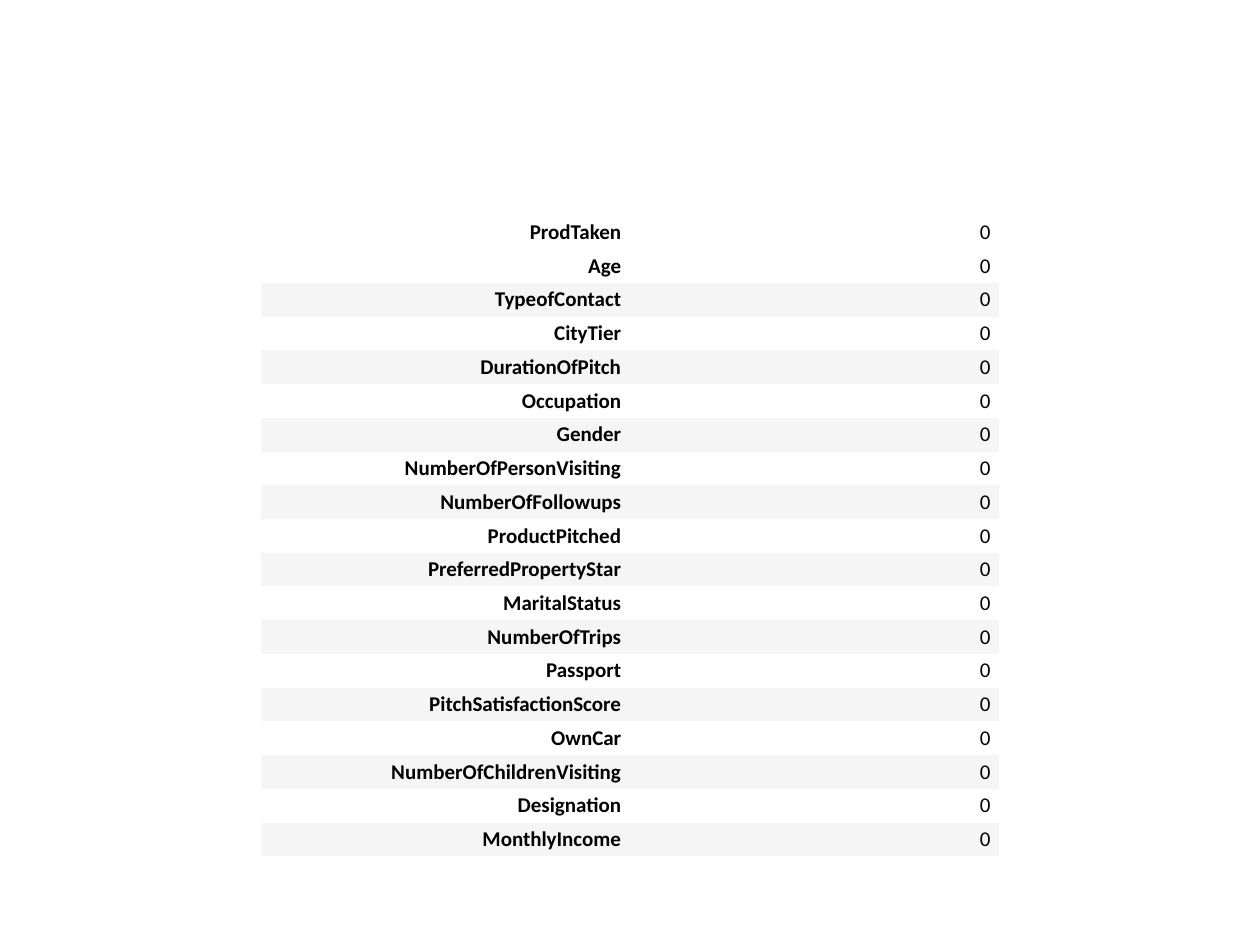
from dataclasses import dataclass

from pptx import Presentation
from pptx.dml.color import RGBColor as RGB
from pptx.enum.text import MSO_ANCHOR as Anchor, PP_ALIGN as Align
from pptx.oxml.ns import qn
from pptx.util import Inches, Pt

# Content: missing values per column
MISSING = dict.fromkeys([
    "ProdTaken", "Age", "TypeofContact", "CityTier", "DurationOfPitch",
    "Occupation", "Gender", "NumberOfPersonVisiting", "NumberOfFollowups",
    "ProductPitched", "PreferredPropertyStar", "MaritalStatus",
    "NumberOfTrips", "Passport", "PitchSatisfactionScore", "OwnCar",
    "NumberOfChildrenVisiting", "Designation", "MonthlyIncome",
], 0)


# Theme
@dataclass(frozen=True)
class Theme:
    font: str = "Calibri"
    size: int = 12
    text: str = "000000"
    plain: str = "FFFFFF"
    band: str = "F5F5F5"


T = Theme()
LEFT, TOP, WIDTH, HEIGHT = (Inches(v) for v in (2.07, 1.71, 5.86, 5.09))
PAD_X, PAD_Y = Inches(0.07), Inches(0.03)
NO_STYLE_NO_GRID = "{2D5ABB26-0587-4C30-8999-92F81FD0307C}"


def write_cell(cell, text, bold=False, fill=T.plain, align=Align.RIGHT):
    cell.fill.solid()
    cell.fill.fore_color.rgb = RGB.from_string(fill)
    cell.vertical_anchor = Anchor.MIDDLE
    cell.margin_left = cell.margin_right = PAD_X
    cell.margin_top = cell.margin_bottom = PAD_Y
    p = cell.text_frame.paragraphs[0]
    p.alignment = align
    r = p.add_run()
    r.text = text
    r.font.name, r.font.size, r.font.bold = T.font, Pt(T.size), bold
    r.font.color.rgb = RGB.from_string(T.text)


# Slide
prs = Presentation()
prs.slide_width, prs.slide_height = Inches(10), Inches(7.5)
s = prs.slides.add_slide(prs.slide_layouts[6])

# Table without grid lines
frame = s.shapes.add_table(len(MISSING), 2, LEFT, TOP, WIDTH, HEIGHT)
table = frame.table
table.first_row = table.horz_banding = False
frame._element.find(".//" + qn("a:tableStyleId")).text = NO_STYLE_NO_GRID

# Rows: every second one is banded, starting with the third
for i, (name, count) in enumerate(MISSING.items()):
    fill = T.band if i and i % 2 == 0 else T.plain
    write_cell(table.cell(i, 0), name, bold=True, fill=fill)
    write_cell(table.cell(i, 1), str(count), fill=fill)

prs.save("out.pptx")
